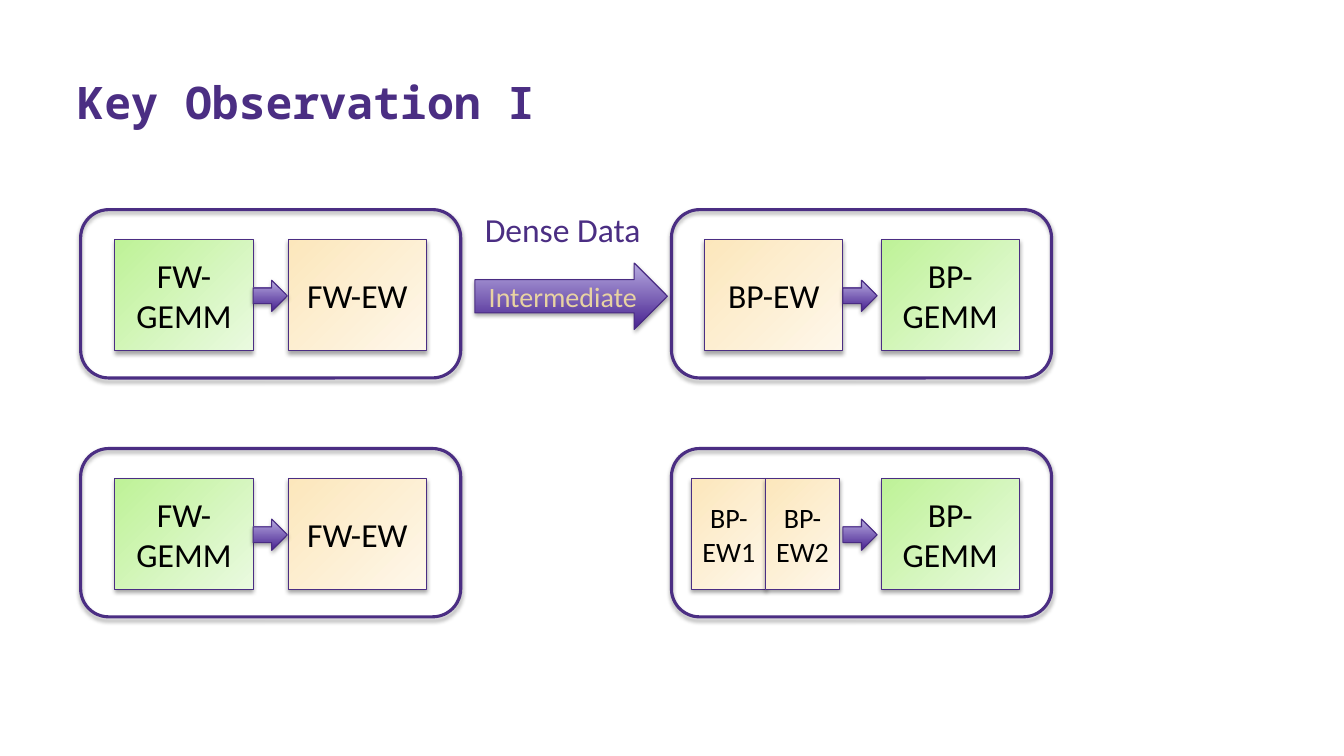
from lxml.etree import SubElement
from pptx import Presentation
from pptx.dml.color import RGBColor
from pptx.enum.shapes import MSO_SHAPE as Shape
from pptx.enum.text import MSO_ANCHOR as Anchor, MSO_AUTO_SIZE as AutoSize, PP_ALIGN as Align
from pptx.oxml.ns import qn
from pptx.util import Inches, Pt

COLORS = {
    "purple": "4B2E83", "arrow_line": "492B82", "gold": "E8D3A2", "black": "000000",
    "green_start": "BEF297", "green_end": "EAFAE0",
    "cream_start": "FCE7BC", "cream_end": "FEF7EA",
    "arrow_start": "472190", "arrow_end": "B7ABE0",
}
PASS_W, PASS_H = 3.77, 1.67
STAGE_W, STAGE_H = 1.37, 1.1
FORWARD_X, BACKWARD_X = 0.8, 6.66
ROW_TOPS = (2.08, 4.45)

# Each stage: label, offset from the left of its pass, width, text size, gradient
FORWARD = [("FW-GEMM", 0.34, STAGE_W, 24, "green"), ("FW-EW", 2.06, STAGE_W, 24, "cream")]
BP_GEMM = ("BP-GEMM", 2.08, STAGE_W, 24, "green")
BACKWARD = [("BP-EW", 0.33, STAGE_W, 24, "cream"), BP_GEMM]
BACKWARD_SPLIT = [("BP-EW1", 0.2, 0.74, 20, "cream"), ("BP-EW2", 0.93, 0.74, 20, "cream"), BP_GEMM]


def rgb(name):
    return RGBColor.from_string(COLORS[name])


def write(shape, text, size=24, color="black", font="Calibri", bold=False,
          align=Align.CENTER, anchor=Anchor.MIDDLE, wrap=True):
    frame = shape.text_frame
    frame.word_wrap = wrap
    frame.vertical_anchor = anchor
    paragraph = frame.paragraphs[0]
    paragraph.alignment = align
    run = paragraph.add_run()
    run.text = text
    run.font.name, run.font.size, run.font.bold = font, Pt(size), bold
    run.font.color.rgb = rgb(color)
    return frame


def add_shadow(shape):
    """Give the shape a soft shadow straight below it."""
    shape.shadow.inherit = False
    effects = shape._element.spPr.find(qn("a:effectLst"))
    shadow = SubElement(effects, qn("a:outerShdw"), blurRad=str(Pt(3.1)), dist=str(Pt(1.8)),
                        dir="5400000", rotWithShape="0")
    black = SubElement(shadow, qn("a:srgbClr"), val=COLORS["black"])
    SubElement(black, qn("a:alpha"), val="35000")


def add_block(slide, preset, box, gradient=None, angle=0, line="purple", weight=0.75):
    block = slide.shapes.add_shape(preset, *map(Inches, box))
    if gradient:
        block.fill.gradient()
        block.fill.gradient_angle = angle
        for stop, end in zip(block.fill.gradient_stops, ("start", "end")):
            stop.color.rgb = rgb(f"{gradient}_{end}")
    else:
        block.fill.background()
    block.line.color.rgb = rgb(line)
    block.line.width = Pt(weight)
    add_shadow(block)
    return block


def add_arrow(slide, box):
    return add_block(slide, Shape.RIGHT_ARROW, box, "arrow", 90, "arrow_line")


def add_pass(slide, left, top, stages, arrow_offset):
    """Draw a rounded frame holding its stages and the arrow between them."""
    for label, offset, width, size, gradient in stages:
        stage = add_block(slide, Shape.RECTANGLE, (left + offset, top + 0.3, width, STAGE_H),
                          gradient, 315)
        write(stage, label, size=size)
    add_arrow(slide, (left + arrow_offset, top + 0.7, 0.34, 0.31))
    add_block(slide, Shape.ROUNDED_RECTANGLE, (left, top, PASS_W, PASS_H), weight=2.25)


def add_title(slide, box):
    title = slide.shapes.add_textbox(*map(Inches, box))
    write(title, "Key Observation I", size=32, color="purple", font="Noto Sans Mono",
          bold=True, align=Align.LEFT, anchor=Anchor.BOTTOM)


def add_data_flow(slide, left, top):
    """Draw the labelled arrow from the forward to the backward pass."""
    intermediate = add_arrow(slide, (left, top + 0.59, 1.91, 0.66))
    write(intermediate, "Intermediate", size=20, color="gold")
    dense = slide.shapes.add_textbox(*map(Inches, (left, top, 1.76, 0.5)))
    frame = write(dense, "Dense Data", color="purple", align=Align.LEFT,
                  anchor=Anchor.TOP, wrap=False)
    frame.auto_size = AutoSize.SHAPE_TO_FIT_TEXT


def main():
    deck = Presentation()
    deck.slide_width, deck.slide_height = Inches(13.33), Inches(7.5)
    slide = deck.slides.add_slide(deck.slide_layouts[6])
    add_title(slide, (0.67, 0.55, 11.93, 0.77))
    for top, backward in zip(ROW_TOPS, (BACKWARD, BACKWARD_SPLIT)):
        add_pass(slide, FORWARD_X, top, FORWARD, 1.71)
        add_pass(slide, BACKWARD_X, top, backward, 1.7)
    add_data_flow(slide, 4.71, 2.02)
    deck.save("out.pptx")


if __name__ == "__main__":
    main()
